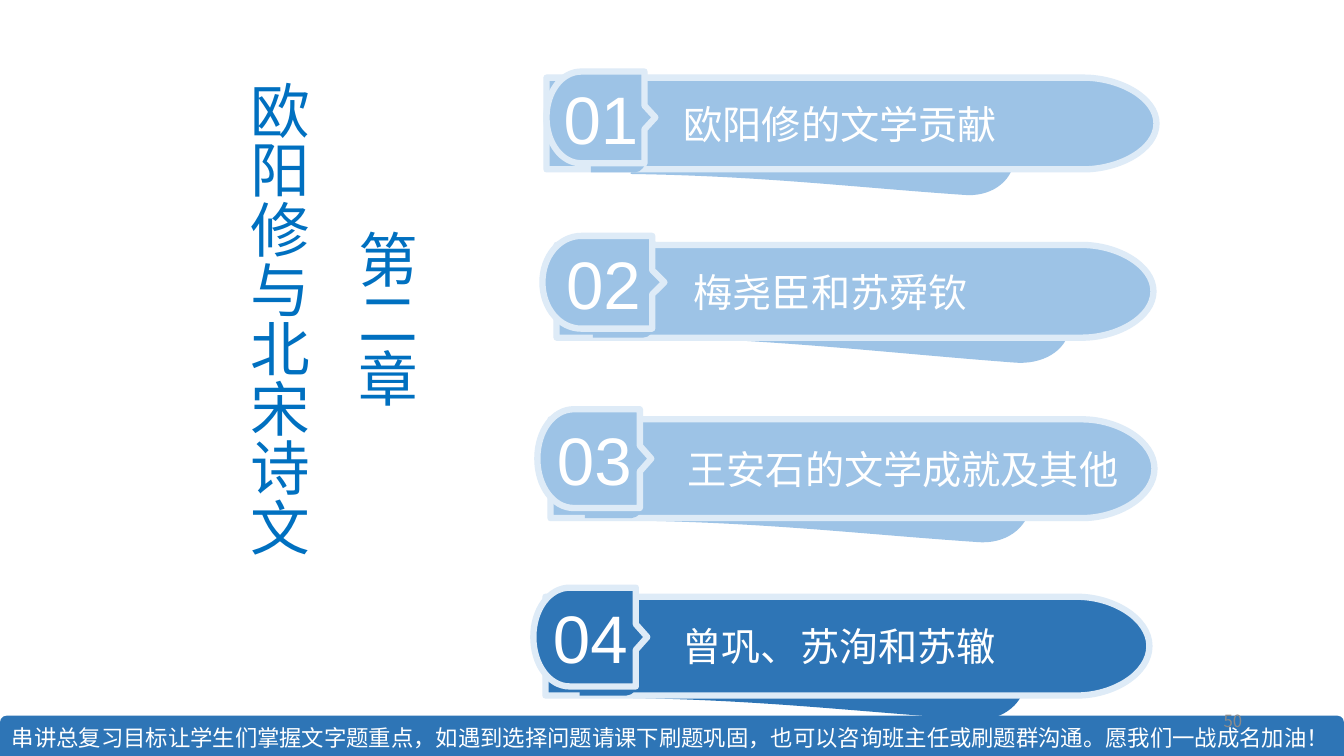
from lxml import etree
from pptx import Presentation
from pptx.dml.color import RGBColor
from pptx.enum.shapes import MSO_SHAPE
from pptx.enum.text import MSO_ANCHOR, MSO_AUTO_SIZE, PP_ALIGN
from pptx.oxml.ns import qn
from pptx.util import Inches, Pt

TOP, MIDDLE, BOTTOM = MSO_ANCHOR.TOP, MSO_ANCHOR.MIDDLE, MSO_ANCHOR.BOTTOM
LEFT, CENTER, RIGHT = PP_ALIGN.LEFT, PP_ALIGN.CENTER, PP_ALIGN.RIGHT
WHITE = RGBColor(0xFF, 0xFF, 0xFF)
GRAY = RGBColor(0x8C, 0x8C, 0x8C)
TITLE_BLUE = RGBColor(0x00, 0x70, 0xC0)
DARK_BLUE = RGBColor(0x2E, 0x75, 0xB6)
LIGHT_BLUE = RGBColor(0x9D, 0xC3, 0xE6)
PALE_BLUE = RGBColor(0xDE, 0xEB, 0xF7)
CJK = "Noto Sans CJK SC"

# Outlines in a unit square: 2 numbers end a line, 6 numbers give a Bezier curve
SWOOSH = [(0, 0.09), (0.88, 0), (0.94, 0, 1, 0.17, 1, 0.38),
          (1, 0.59, 0.95, 0.76, 0.88, 0.77),
          (0.59, 0.84, 0.35, 0.85, 0.01, 1), (0.01, 0.75, 0, 0.34, 0, 0.09)]
BAR = [(0, 0), (0.88, 0), (0.94, 0, 1, 0.22, 1, 0.5),
       (1, 0.78, 0.94, 1, 0.88, 1), (0, 1)]
TAB = [(0, 0), (0.8, 0), (0.9, 0, 1, 0.13, 1, 0.31), (1, 0.69),
       (1, 0.87, 0.9, 1, 0.8, 1), (0, 1)]
BADGE = [(0.32, 0), (0.9, 0), (0.9, 0.37), (1, 0.5), (0.9, 0.63), (0.9, 1),
         (0.32, 1), (0.14, 1, 0, 0.78, 0, 0.5), (0, 0.22, 0.14, 0, 0.32, 0)]


def add_outline(shapes, outline, box, fill, outlined):
    left, top, width, height = box
    ends = [(Inches(left + seg[-2] * width), Inches(top + seg[-1] * height))
            for seg in outline]
    builder = shapes.build_freeform(*ends[0], scale=1.0)
    builder.add_line_segments(ends[1:], close=True)
    s = builder.convert_to_shape()
    # Turn the segments with control points into curves
    lines = list(s._element.iter(qn("a:lnTo")))
    for line, seg in zip(lines, outline[1:]):
        if len(seg) == 6:
            line.tag = qn("a:cubicBezTo")
            line.clear()
            for x, y in zip(seg[::2], seg[1::2]):
                pt = etree.SubElement(line, qn("a:pt"))
                pt.set("x", str(Inches(x * width)))
                pt.set("y", str(Inches(y * height)))
    s.shadow.inherit = False
    s.fill.solid()
    s.fill.fore_color.rgb = fill
    if outlined:
        s.line.color.rgb = PALE_BLUE
        s.line.width = Pt(4.5)
    else:
        s.line.fill.background()
    return s


def set_text(s, lines, size, color, align, anchor, font=CJK):
    tf = s.text_frame
    tf.word_wrap = True
    tf.vertical_anchor = anchor
    for i, line in enumerate(lines):
        p = tf.paragraphs[0] if i == 0 else tf.add_paragraph()
        p.alignment = align
        r = p.add_run()
        r.text = line
        for key, value in {"size": Pt(size), "name": font}.items():
            setattr(r.font, key, value)
        r.font.color.rgb = color
        etree.SubElement(r.font._element, qn("a:ea")).set("typeface", font)
    return tf


prs = Presentation()
prs.slide_width, prs.slide_height = Inches(13.33), Inches(7.5)
slide = prs.slides.add_slide(prs.slide_layouts[5])

# Footer band
footer = slide.shapes.add_shape(MSO_SHAPE.ROUND_2_SAME_RECTANGLE, Inches(0),
                                Inches(7.1), Inches(13.33), Inches(0.4))
footer.shadow.inherit = False
footer.fill.solid()
footer.fill.fore_color.rgb = DARK_BLUE
footer.line.fill.background()
set_text(footer, ["串讲总复习目标让学生们掌握文字题重点，如遇到选择问题请课下刷题巩固，"
                  "也可以咨询班主任或刷题群沟通。愿我们一战成名加油！"],
         16, WHITE, LEFT, BOTTOM)

# Page number
number = slide.shapes.add_textbox(Inches(9.42), Inches(6.95), Inches(3), Inches(0.4))
set_text(number, ["50"], 12, GRAY, RIGHT, MIDDLE)

# Vertical chapter title
title = slide.shapes.title
title.left, title.top = Inches(2.28), Inches(0.75)
title.width, title.height = Inches(2.36), Inches(5.88)
tf = set_text(title, ["第二章", "欧阳修与北宋诗文"], 42.6, TITLE_BLUE, CENTER, TOP)
tf.auto_size = MSO_AUTO_SIZE.SHAPE_TO_FIT_TEXT
tf._txBody.bodyPr.set("vert", "eaVert")
for p in tf.paragraphs:
    p.line_spacing = 1.5
    p.space_before = Pt(0)

# Section banners: text, colour, then boxes of swoosh, bar, tab and badge
banners = [
    ("欧阳修的文学贡献", LIGHT_BLUE, (6.27, 0.95, 3.79, 1.03),
     (5.42, 0.77, 6.05, 0.91), (5.86, 1.23, 0.55, 0.48), (5.42, 0.71, 1.08, 0.91)),
    ("梅尧臣和苏舜钦", LIGHT_BLUE, (6.34, 2.58, 4.27, 1.04),
     (5.52, 2.43, 5.92, 0.92), (5.88, 2.87, 0.62, 0.48), (5.38, 2.34, 1.21, 0.92)),
    ("王安石的文学成就及其他", LIGHT_BLUE, (6.23, 4.33, 3.99, 1.1),
     (5.46, 4.16, 5.99, 0.98), (5.8, 4.63, 0.58, 0.51), (5.33, 4.06, 1.13, 0.98)),
    ("曾巩、苏洵和苏辙", DARK_BLUE, (6.18, 6.09, 3.99, 1.1),
     (5.41, 5.92, 5.99, 0.98), (5.75, 6.39, 0.58, 0.51), (5.29, 5.83, 1.13, 0.98)),
]
for n, (text, fill, swoosh_box, bar_box, tab_box, badge_box) in enumerate(banners, 1):
    shapes = slide.shapes.add_group_shape().shapes
    swoosh = add_outline(shapes, SWOOSH, swoosh_box, fill, False)
    swoosh.rotation = 7.7
    bar = add_outline(shapes, BAR, bar_box, fill, True)
    set_text(bar, [text], 28, WHITE, LEFT, MIDDLE).margin_left = Inches(1.36)
    add_outline(shapes, TAB, tab_box, fill, False)
    badge = add_outline(shapes, BADGE, badge_box, fill, True)
    set_text(badge, [f"{n:02d}"], 48, WHITE, CENTER, MIDDLE, "Arial")

prs.save("out.pptx")
